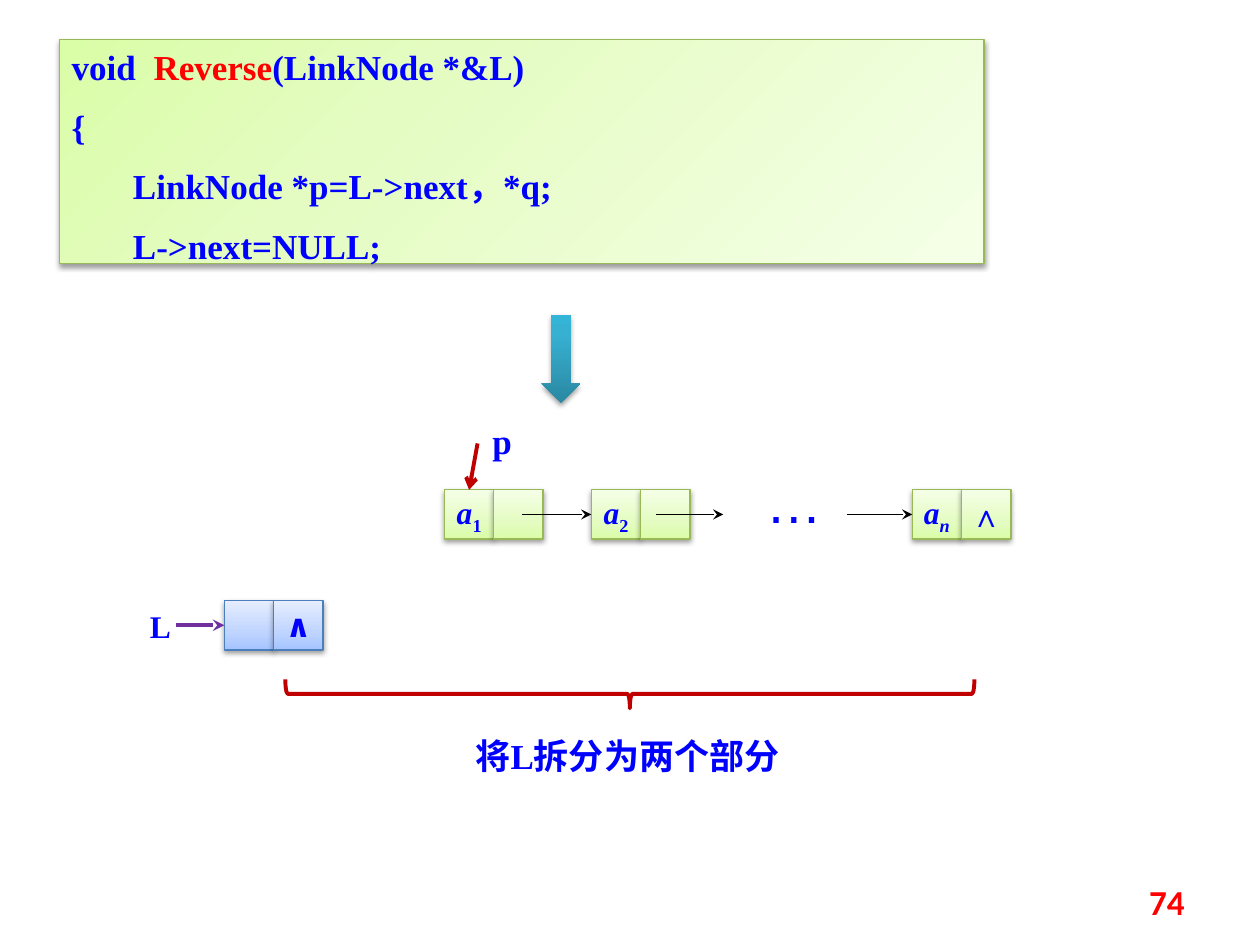
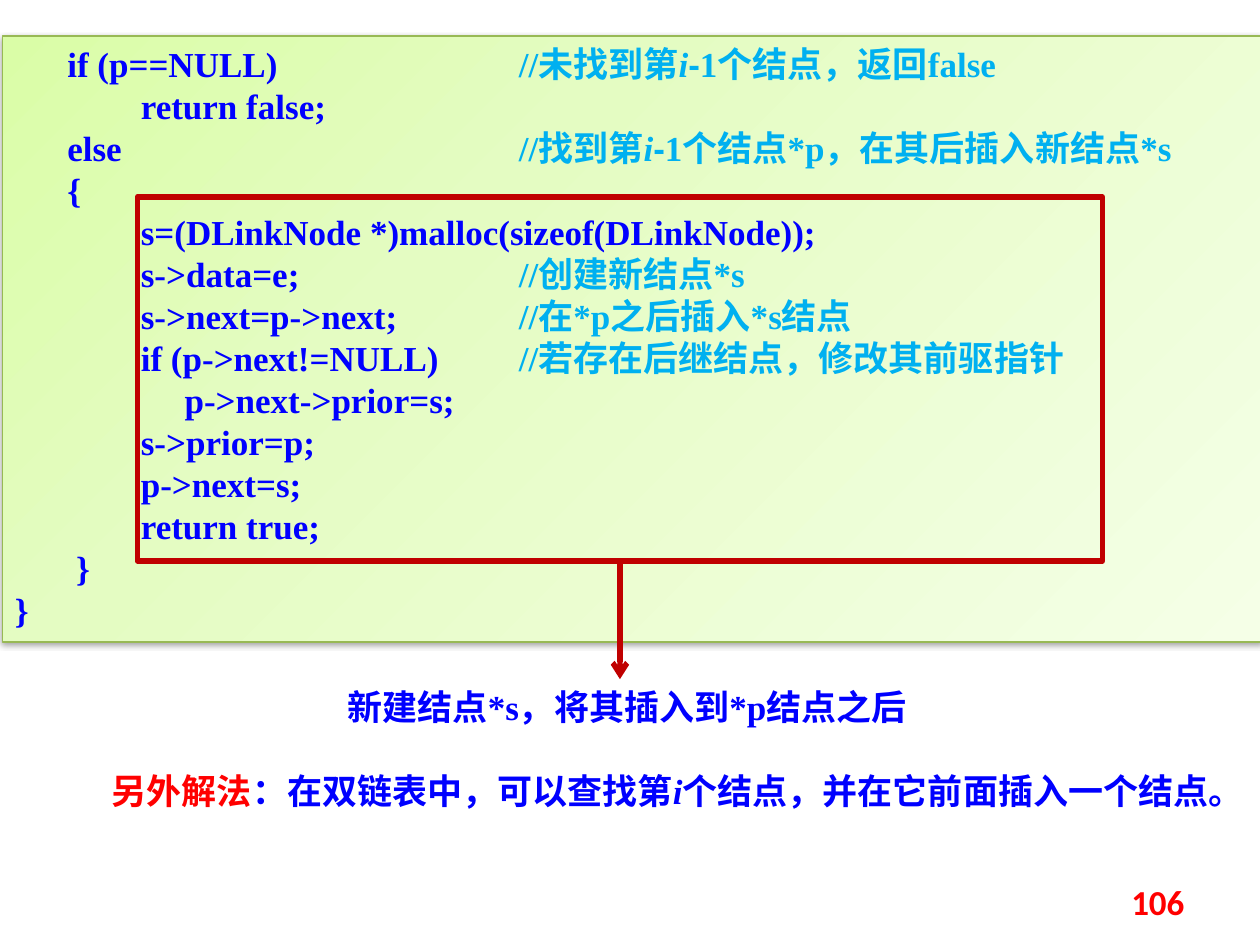
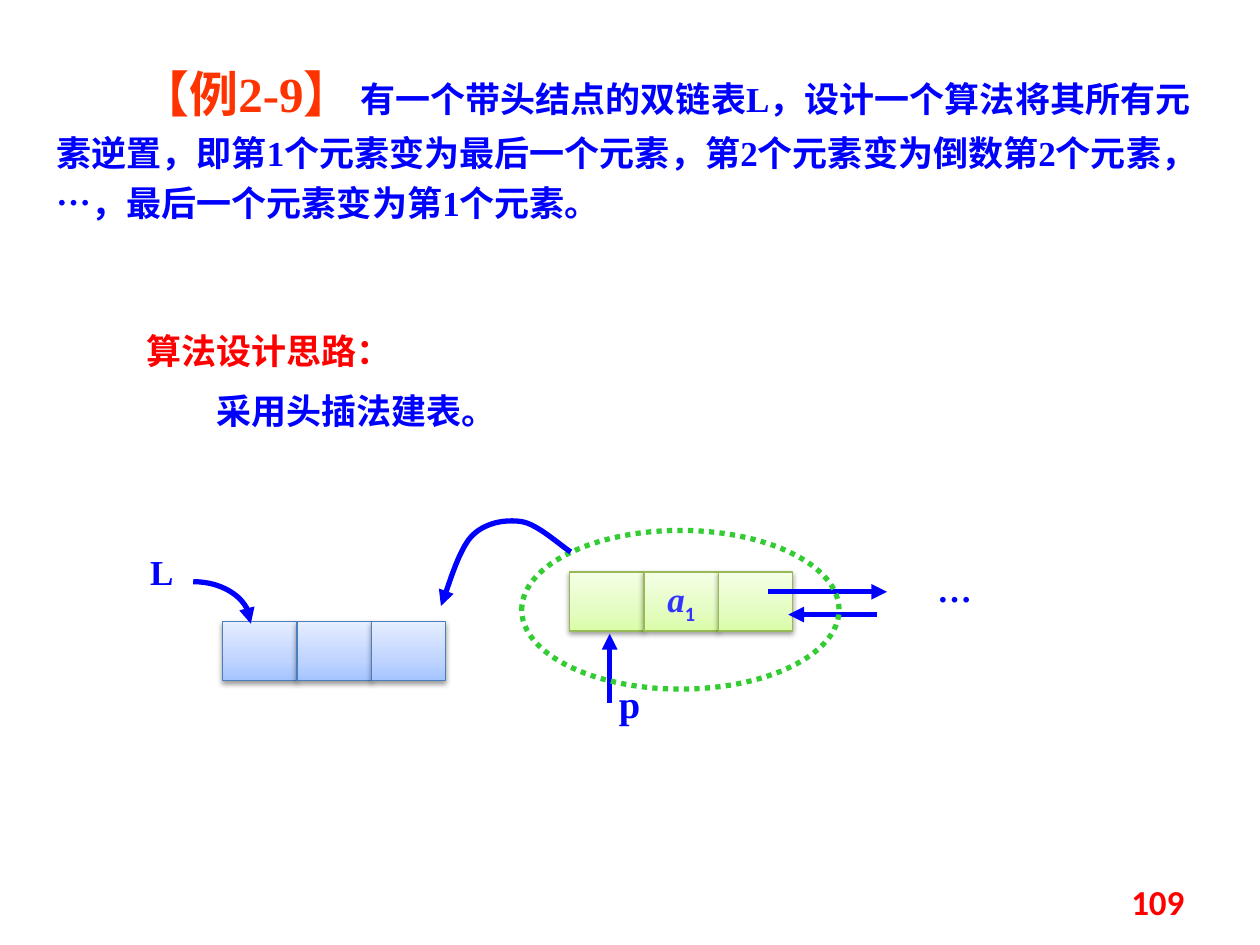
"""Build three slides on reversing and inserting into linked lists."""
from dataclasses import dataclass
from typing import Optional

from lxml.etree import SubElement
from pptx import Presentation
from pptx.dml.color import RGBColor
from pptx.enum.dml import MSO_LINE
from pptx.enum.shapes import MSO_CONNECTOR, MSO_SHAPE
from pptx.enum.text import MSO_ANCHOR, PP_ALIGN
from pptx.oxml import parse_xml
from pptx.oxml.ns import nsdecls, qn
from pptx.util import Pt

COLORS = {
    "blue": "0000FF", "red": "FF0000", "comment": "00B0F0", "heading": "FF3300",
    "element": "3333FF", "crimson": "C00000", "purple": "7030A0", "black": "000000",
    "dotted": "33CC33", "green edge": "98B955", "blue edge": "4B7EBC",
}
GRADIENTS = {
    "green": ((0, "DAFDA7"), (35, "E4FCC2"), (100, "F5FFE7")),
    "blue": ((0, "A4C4FF"), (35, "BFD4FF"), (100, "E6EEFF")),
    "teal": ((0, "2A88A2"), (80, "37B1D2"), (100, "34B4D6")),
}
SERIF, SANS, CHINESE = "Times New Roman", "Calibri", "Noto Sans CJK SC"
TOP, LEFT, BOTTOM = 0, 1, 2


@dataclass(frozen=True)
class Span:
    text: str
    color: Optional[str] = None
    italic: Optional[bool] = None
    font: Optional[str] = None
    size: Optional[float] = None
    subscript: bool = False


@dataclass(frozen=True)
class Para:
    spans: tuple
    size: float = 20
    color: str = "blue"
    font: str = SERIF
    bold: bool = True
    align: PP_ALIGN = PP_ALIGN.LEFT
    indent: float = 0
    line: Optional[float] = None
    before: float = 0


@dataclass(frozen=True)
class Box:
    left: float
    top: float
    width: float
    height: float

    def lengths(self) -> tuple:
        return tuple(Pt(v) for v in (self.left, self.top, self.width, self.height))


@dataclass(frozen=True)
class Arrow:
    start: tuple
    end: tuple
    color: str = "black"
    width: float = 0.75
    head: str = "stealth"


def rgb(name: str) -> RGBColor:
    return RGBColor.from_string(COLORS[name])


def set_typeface(font, name: str) -> None:
    font.name = name
    latin = font._rPr.find(qn("a:latin"))
    east_asian = CHINESE if name == SERIF else name
    latin.addnext(parse_xml(f'<a:ea {nsdecls("a")} typeface="{east_asian}"/>'))


def write_span(paragraph, span: Span) -> None:
    run = paragraph.add_run()
    run.text = span.text
    if span.color:
        run.font.color.rgb = rgb(span.color)
    if span.italic is not None:
        run.font.italic = span.italic
    if span.font:
        set_typeface(run.font, span.font)
    if span.size:
        run.font.size = Pt(span.size)
    if span.subscript:
        run.font._rPr.set("baseline", "-25000")


def write_text(shape, paras: list, anchor=MSO_ANCHOR.TOP, wrap: bool = True) -> None:
    frame = shape.text_frame
    frame.word_wrap = wrap
    frame.vertical_anchor = anchor
    for index, para in enumerate(paras):
        paragraph = frame.add_paragraph() if index else frame.paragraphs[0]
        paragraph.alignment = para.align
        if para.line:
            paragraph.line_spacing = Pt(para.line)
        if index and para.before:
            paragraph.space_before = Pt(para.before)
        font = paragraph.font
        font.size, font.bold = Pt(para.size), para.bold
        font.color.rgb = rgb(para.color)
        set_typeface(font, para.font)
        if para.indent:
            properties = paragraph._p.get_or_add_pPr()
            properties.set("marL", "0")
            properties.set("indent", str(Pt(para.indent)))
        for span in para.spans:
            write_span(paragraph, span)


def add_text(page, box: Box, paras: list, inset: bool = True, anchor=MSO_ANCHOR.TOP):
    shape = page.shapes.add_textbox(*box.lengths())
    write_text(shape, paras, anchor)
    if not inset:
        frame = shape.text_frame
        frame.margin_left = frame.margin_top = frame.margin_right = frame.margin_bottom = 0
    return shape


def add_label(page, box: Box, text: str, size: float = 20, **style) -> None:
    add_text(page, box, [Para((Span(text),), size, align=PP_ALIGN.CENTER, **style)], inset=False)


def add_shaded(page, kind, box: Box, gradient: str, angle: int, edge: Optional[str] = None):
    shape = page.shapes.add_shape(kind, *box.lengths())
    shape.fill.background()
    if edge:
        shape.line.color.rgb = rgb(edge)
        shape.line.width = Pt(0.75)
    else:
        shape.line.fill.background()
    properties = shape.element.spPr
    stops = "".join(f'<a:gs pos="{place * 1000}"><a:srgbClr val="{color}"/></a:gs>'
                    for place, color in GRADIENTS[gradient])
    properties.replace(properties.find(qn("a:noFill")), parse_xml(
        f'<a:gradFill {nsdecls("a")} rotWithShape="1"><a:gsLst>{stops}</a:gsLst>'
        f'<a:lin ang="{angle * 60000}" scaled="0"/></a:gradFill>'))
    properties.append(parse_xml(
        f'<a:effectLst {nsdecls("a")}><a:outerShdw blurRad="{Pt(3.1)}" dist="{Pt(1.6)}" '
        'dir="5400000" rotWithShape="0"><a:srgbClr val="000000"><a:alpha val="38000"/>'
        '</a:srgbClr></a:outerShdw></a:effectLst>'))
    return shape


def add_outline(page, kind, box: Box, color: str, width: float):
    shape = page.shapes.add_shape(kind, *box.lengths())
    shape.shadow.inherit = False
    shape.fill.background()
    shape.line.color.rgb = rgb(color)
    shape.line.width = Pt(width)
    return shape


def add_code_panel(page, box: Box, paras: list) -> None:
    panel = add_shaded(page, MSO_SHAPE.RECTANGLE, box, "green", 45, "green edge")
    write_text(panel, paras)


def add_node(page, first: Box, color: str, texts: list) -> list:
    cells = []
    for index, para in enumerate(texts):
        box = Box(first.left + index * first.width, first.top, first.width, first.height)
        cell = add_shaded(page, MSO_SHAPE.RECTANGLE, box, color, 270, f"{color} edge")
        if para:
            write_text(cell, [para], MSO_ANCHOR.MIDDLE, wrap=False)
        cells.append(cell)
    return cells


def add_head(line, kind: str) -> None:
    SubElement(line._get_or_add_ln(), qn("a:tailEnd"), type=kind)


def add_arrow(page, arrow: Arrow, source: Optional[tuple] = None,
              target: Optional[tuple] = None) -> None:
    ends = [Pt(value) for value in (*arrow.start, *arrow.end)]
    connector = page.shapes.add_connector(MSO_CONNECTOR.STRAIGHT, *ends)
    if source:
        connector.begin_connect(*source)
    if target:
        connector.end_connect(*target)
    connector.line.color.rgb = rgb(arrow.color)
    connector.line.width = Pt(arrow.width)
    add_head(connector.line, arrow.head)
    SubElement(connector.element.spPr, qn("a:effectLst"))


def bezier_points(start: tuple, curve: tuple, steps: int = 16) -> list:
    weights = [((1 - t) ** 3, 3 * t * (1 - t) ** 2, 3 * t * t * (1 - t), t ** 3)
               for t in (step / steps for step in range(1, steps + 1))]
    corners = (start, *curve)
    return [tuple(Pt(sum(w * corner[axis] for w, corner in zip(weight, corners)))
                  for axis in (0, 1)) for weight in weights]


def add_curve(page, start: tuple, curves: list) -> None:
    builder = page.shapes.build_freeform(Pt(start[0]), Pt(start[1]))
    for curve in curves:
        builder.add_line_segments(bezier_points(start, curve), close=False)
        start = curve[-1]
    shape = builder.convert_to_shape()
    shape.shadow.inherit = False
    shape.fill.background()
    shape.line.color.rgb = rgb("blue")
    shape.line.width = Pt(3)
    add_head(shape.line, "triangle")


def add_page(deck, number: int):
    page = deck.slides.add_slide(deck.slide_layouts[6])
    add_text(page, Box(516.2, 500.8, 167.8, 28.8),
             [Para((Span(str(number)),), color="red", font=SANS, align=PP_ALIGN.RIGHT)],
             anchor=MSO_ANCHOR.MIDDLE)
    return page


def cell_text(*spans: Span, **style) -> Para:
    return Para(spans, align=PP_ALIGN.CENTER, **style)


def element(index: str, italic: bool = False) -> Para:
    return cell_text(Span("a", italic=True), Span(index, italic=italic, subscript=True), size=18)


def code(indent: float, text: str, *remarks: Span, tabs: int = 0) -> Para:
    return Para((Span(text + "\t" * tabs), *remarks), indent=indent, line=24)


def remark(text: str, **style) -> Span:
    return Span(text, "comment", **style)


def previous_node(before: str, after: str) -> tuple:
    return (remark(before), remark("i", italic=True), remark("-", font="Arial"), remark(after))


def build_split(deck) -> None:
    page = add_page(deck, 74)
    signature = (Span("void  "), Span("Reverse", "red"), Span("(LinkNode *&L)"))
    rows = ((0, signature), (0, (Span("{"),)),
            (35, (Span("LinkNode *p=L->next，*q;"),)), (35, (Span("L->next=NULL;"),)))
    add_code_panel(page, Box(33.9, 22.5, 528.5, 128.2),
                   [Para(spans, indent=indent, line=24, before=10) for indent, spans in rows])

    side = 28.2
    head = add_node(page, Box(128.2, 343.2, side, side), "blue",
                    [None, cell_text(Span("∧"), size=18, font="DejaVu Sans")])
    first, second, last = [
        add_node(page, Box(left, 279.9, side, side), "green", texts)
        for left, texts in (
            (254, [element("1"), None]), (337.9, [element("2"), None]),
            (521.3, [element("n", italic=True), cell_text(Span("∧"), size=18)]))]

    middle = 294
    add_arrow(page, Arrow((100.8, 357.3), (128.2, 357.3), "purple", 2.25), target=(head[0], LEFT))
    add_arrow(page, Arrow((298.1, middle), (337.9, middle)), target=(second[0], LEFT))
    add_arrow(page, Arrow((375.1, middle), (413.3, middle)))
    add_arrow(page, Arrow((483.8, middle), (521.3, middle)), target=(last[0], LEFT))
    add_arrow(page, Arrow((272.9, 253.4), (268.1, 279.9), "crimson", 2.25, "arrow"),
              target=(first[0], TOP))
    add_text(page, Box(78.5, 343.4, 20.9, 28.8), [Para((Span("L"),), 18)])
    add_text(page, Box(430.6, 263.5, 56.9, 45.4),
             [Para((Span("…"),), 32, font="Arial", bold=False)])
    add_text(page, Box(267.1, 236.2, 39.6, 31.7), [cell_text(Span("p"))])

    add_shaded(page, MSO_SHAPE.DOWN_ARROW, Box(309.4, 180, 22.3, 50.4), "teal", 270)
    brace = add_outline(page, MSO_SHAPE.RIGHT_BRACE, Box(351.6, 199.6, 16.6, 393.8),
                        "crimson", 2.25)
    brace.rotation = 90
    add_text(page, Box(264.6, 416.2, 208.1, 31.7), [Para((Span("将L拆分为两个部分"),), line=24)])


def build_insert(deck) -> None:
    page = add_page(deck, 106)
    add_code_panel(page, Box(1.4, 20.5, 719.3, 346.3), [
        code(30, "if (p==NULL)", *previous_node("//未找到第", "1个结点，返回false"), tabs=4),
        code(72, "return false;"),
        code(30, "else", *previous_node("//找到第", "1个结点*p，在其后插入新结点*s"), tabs=7),
        code(30, "{"),
        code(72, "s=(DLinkNode *)malloc(sizeof(DLinkNode));"),
        code(72, "s->data=e;", remark("//创建新结点*s"), tabs=4),
        code(72, "s->next=p->next;", remark("//在*p之后插入*s结点"), tabs=2),
        code(72, "if (p->next!=NULL)", remark("//若存在后继结点，修改其前驱指针"), tabs=2),
        code(97, "p->next->prior=s;"),
        code(72, "s->prior=p;"),
        code(72, "p->next=s;"),
        code(72, "return true;"),
        code(35, "}"),
        code(0, "}"),
    ])
    add_text(page, Box(191.5, 388.1, 360, 31.7),
             [Para((Span("新建结点*s，将其插入到*p结点之后"),), line=24)])
    frame = add_outline(page, MSO_SHAPE.RECTANGLE, Box(78.5, 112.5, 551.5, 208.1), "crimson", 3)
    add_arrow(page, Arrow((354.25, 320.6), (354.25, 388.1), "crimson", 3, "arrow"),
              source=(frame, BOTTOM))
    add_text(page, Box(33.8, 436.3, 664, 31.7), [Para((
        Span("另外解法", "red"), Span("：在双链表中，可以查找第"), Span("i", italic=True),
        Span("个结点，并在它前面插入一个结点。")), indent=23, line=24)])


def build_example(deck) -> None:
    page = add_page(deck, 109)
    question = add_text(page, Box(25.2, 25.9, 663.1, 118.1), [Para((
        Span("【例2-9】", "heading", size=28),
        Span(" 有一个带头结点的双链表L，设计一个算法将其所有元素逆置，即第1个元素变为最后一个元素，"
             "第2个元素变为倒数第2个元素，"),
        Span("…", font=CHINESE), Span("，最后一个元素变为第1个元素。")), indent=48, line=29)])
    question.text_frame.margin_top = Pt(15)
    add_text(page, Box(76.6, 185, 283.7, 79.9), [
        Para((Span("算法设计思路："),), color="red", font=CHINESE, line=24),
        Para((Span("采用头插法建表。"),), font=CHINESE, indent=40, line=24, before=10)])

    add_node(page, Box(127.2, 355.2, 42.5, 33.8), "blue", [None] * 3)
    value = cell_text(Span("a", italic=True), Span("1", font=SANS, subscript=True),
                      color="element")
    add_node(page, Box(325.5, 326.8, 42.5, 33.8), "green", [None, value, None])

    add_curve(page, (110.4, 332.4), [((129.1, 332.4), (143.3, 343.4), (143.3, 356.4))])
    add_label(page, Box(69.8, 314.6, 45.4, 28.8), "L")
    add_label(page, Box(337, 388.8, 45.4, 26.6), "p", 22)
    for start, end in (((348.4, 401.8), (348.4, 362.2)),
                       ((439, 338.2), (506.9, 338.2)), ((501.3, 351.2), (450.5, 351.2))):
        add_arrow(page, Arrow(start, end, "blue", 3, "triangle"))
    add_label(page, Box(511.9, 330.5, 67.7, 28.8), "…", font=CHINESE, line=24)
    ellipse = add_outline(page, MSO_SHAPE.OVAL, Box(298.1, 303.1, 181.4, 90.7), "dotted", 3)
    ellipse.line.dash_style = MSO_LINE.ROUND_DOT
    add_curve(page, (326.2, 315.4), [
        ((321.1, 312.5), (307.4, 299.5), (298.1, 298.1)),
        ((288.7, 296.6), (276.5, 298.8), (269.3, 306.7)),
        ((261.4, 315.4), (255.6, 337.7), (252, 346.3))])


def main() -> None:
    deck = Presentation()
    deck.slide_width, deck.slide_height = Pt(720), Pt(540)
    for build in (build_split, build_insert, build_example):
        build(deck)
    deck.save("out.pptx")


if __name__ == "__main__":
    main()
